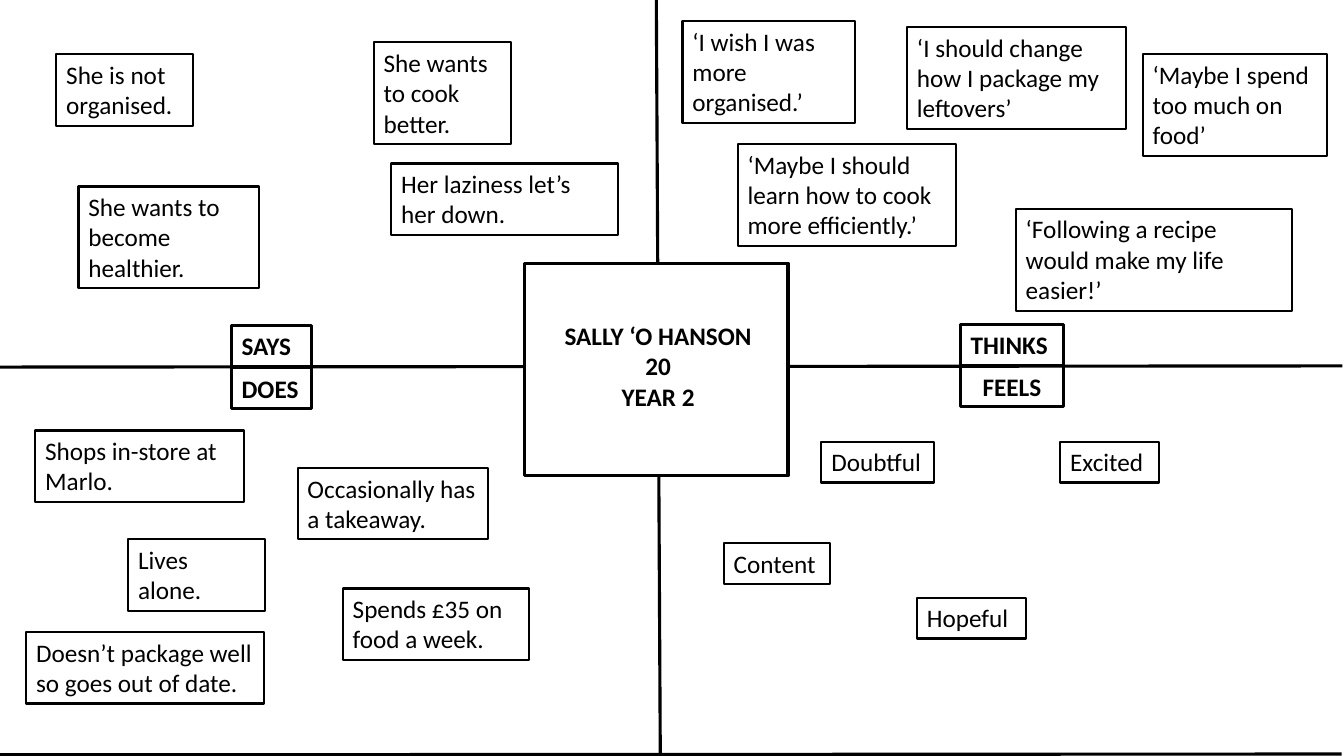
"""Builds an empathy map slide with four quadrants around a persona."""
from lxml.etree import SubElement
from pptx import Presentation
from pptx.dml.color import RGBColor
from pptx.enum.shapes import MSO_CONNECTOR, MSO_SHAPE
from pptx.enum.text import MSO_ANCHOR, MSO_AUTO_SIZE, PP_ALIGN
from pptx.oxml.ns import qn
from pptx.util import Cm, Pt

COLORS = {"ink": "000000", "paper": "FFFFFF"}
FONT = "Calibri"
THICK, THIN = 2.25, 1.5
PADDING, LINE_HEIGHT = 0.26, 0.77

AXES = [
    (16.54, 0, 16.64, 19.05),
    (0, 9.25, 33.83, 9.22),
    (0, 19.02, 33.81, 19),
]

LABELS = [
    (24.21, 8.18, 2.59, "THINKS", PP_ALIGN.LEFT),
    (5.84, 8.2, 2.01, "SAYS", PP_ALIGN.LEFT),
    (24.21, 9.22, 2.59, "FEELS", PP_ALIGN.CENTER),
    (5.84, 9.27, 2.01, "DOES", PP_ALIGN.LEFT),
]

NOTES = {
    "says": [
        (9.86, 4.12, 5.72, 2, "Her laziness let’s her down."),
        (1.98, 4.7, 4.55, 3, "She wants to become healthier."),
        (9.42, 1.07, 3.45, 3, "She wants to cook better."),
        (1.42, 1.37, 3.45, 2, "She is not organised."),
    ],
    "thinks": [
        (25.6, 5.26, 6.96, 3, "‘Following a recipe would make my life easier!’"),
        (18.59, 3.63, 5.51, 3, "‘Maybe I should learn how to cook more efficiently.’"),
        (28.8, 1.37, 4.65, 3, "‘Maybe I spend too much on food’"),
        (22.86, 0.69, 5.51, 3, "‘I should change how I package my leftovers’"),
        (17.2, 0.53, 4.34, 3, "‘I wish I was more organised.’"),
    ],
    "does": [
        (8.64, 14.83, 4.69, 2, "Spends £35 on food a week."),
        (3.23, 13.59, 3.45, 2, "Lives alone."),
        (7.5, 11.79, 4.8, 2, "Occasionally has a takeaway."),
        (0.66, 15.93, 5.99, 2, "Doesn’t package well so goes out of date."),
        (0.89, 10.85, 5.26, 2, "Shops in-store at Marlo."),
    ],
    "feels": [
        (18.24, 13.69, 2.69, 1, "Content"),
        (23.11, 15.06, 2.74, 1, "Hopeful"),
        (26.72, 11.13, 2.48, 1, "Excited"),
        (20.7, 11.13, 2.83, 1, "Doubtful"),
    ],
}


def rgb(name):
    """Return the named colour."""
    return RGBColor.from_string(COLORS[name])


def write_text(sp, text, bold=False, align=PP_ALIGN.LEFT, anchor=MSO_ANCHOR.TOP):
    """Write text into a shape, one paragraph per line."""
    tf = sp.text_frame
    tf.text = text
    tf.word_wrap = True
    tf.auto_size = MSO_AUTO_SIZE.NONE
    tf.vertical_anchor = anchor
    for p in tf.paragraphs:
        p.alignment = align
        p.line_spacing = 1.0
        p.space_before = Pt(0)
        font = p.runs[0].font
        font.name, font.size, font.bold = FONT, Pt(18), bold
        font.color.rgb = rgb("ink")


def add_box(s, x, y, w, h, weight, fill=None):
    """Add an outlined rectangle, filled only when a colour is given."""
    sp = s.shapes.add_shape(MSO_SHAPE.RECTANGLE, Cm(x), Cm(y), Cm(w), Cm(h))
    sp.shadow.inherit = False
    sp.line.color.rgb = rgb("ink")
    sp.line.width = Pt(weight)
    if fill:
        sp.fill.solid()
        sp.fill.fore_color.rgb = rgb(fill)
    else:
        sp.fill.background()
    return sp


def add_note(s, x, y, w, lines, text, weight=THIN, **style):
    """Add a boxed text whose height follows its number of lines."""
    sp = add_box(s, x, y, w, PADDING + LINE_HEIGHT * lines, weight)
    write_text(sp, text, **style)


def add_line(s, x1, y1, x2, y2):
    """Add a thick straight line without shadow."""
    line = s.shapes.add_connector(
        MSO_CONNECTOR.STRAIGHT, Cm(x1), Cm(y1), Cm(x2), Cm(y2))
    line.line.color.rgb = rgb("ink")
    line.line.width = Pt(THICK)
    SubElement(line._element.spPr, qn("a:effectLst"))


def add_persona(s):
    """Add the centre card and bring the title in front of it."""
    add_box(s, 13.21, 6.63, 6.65, 5.36, THICK, fill="paper")
    title = s.shapes.title
    title.left, title.top = Cm(13.69), Cm(7.95)
    title.width, title.height = Cm(5.79), Cm(2.57)
    write_text(title, "SALLY ‘O HANSON\n20\nYEAR 2", bold=True,
               align=PP_ALIGN.CENTER)
    s.shapes._spTree.append(title._element)


def main():
    """Build and save the slide."""
    prs = Presentation()
    prs.slide_width, prs.slide_height = Cm(33.87), Cm(19.05)
    s = prs.slides.add_slide(prs.slide_layouts[5])
    for axis in AXES:
        add_line(s, *axis)
    add_persona(s)
    for x, y, w, text, align in LABELS:
        add_note(s, x, y, w, 1, text, weight=THICK, bold=True, align=align)
    for notes in NOTES.values():
        for note in notes:
            add_note(s, *note)
    prs.save("out.pptx")


main()
